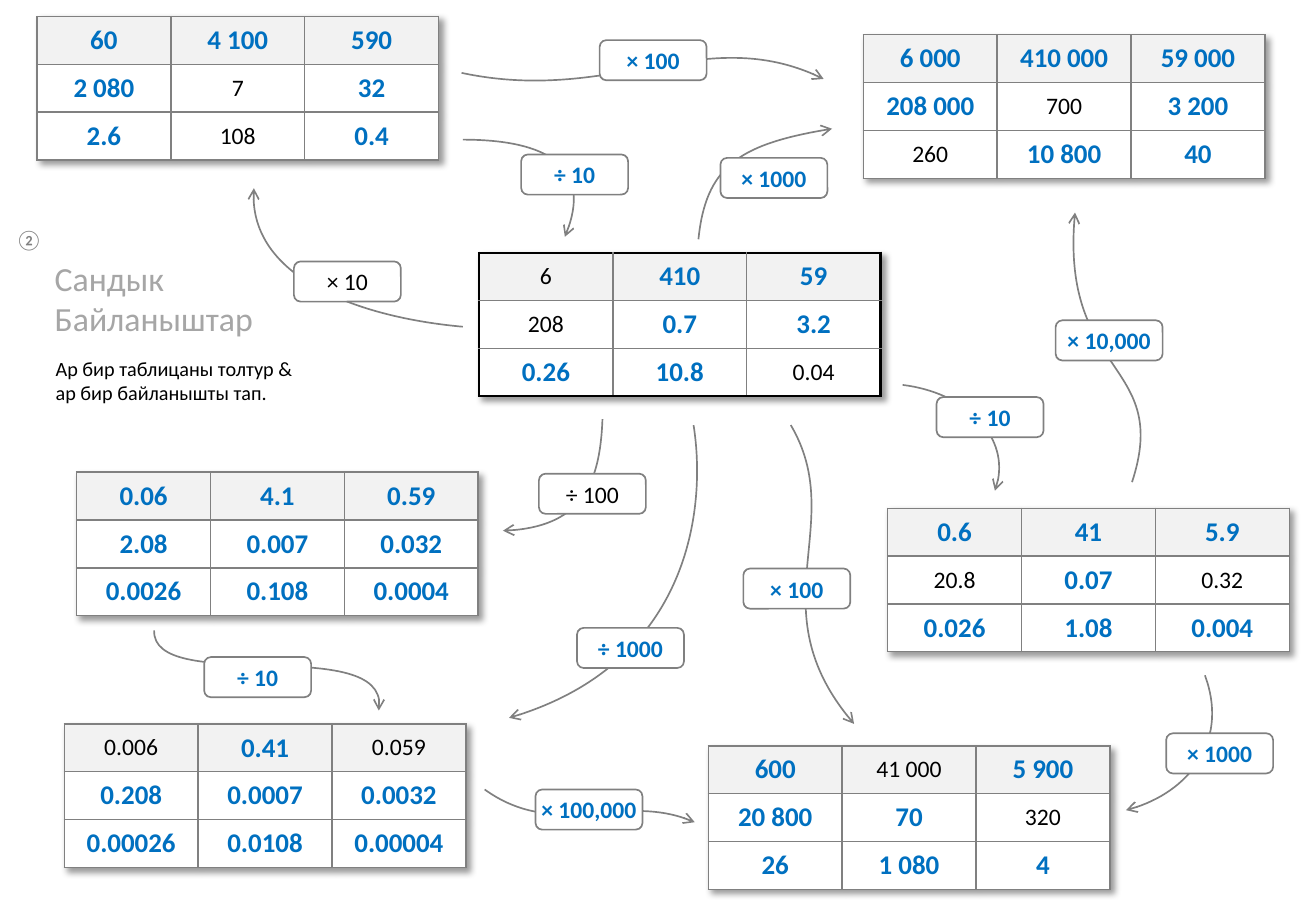
from dataclasses import dataclass

from lxml.etree import SubElement
from pptx import Presentation
from pptx.dml.color import RGBColor
from pptx.enum.shapes import MSO_SHAPE
from pptx.enum.text import MSO_ANCHOR, MSO_AUTO_SIZE, PP_ALIGN
from pptx.oxml import parse_xml
from pptx.oxml.ns import nsdecls, qn
from pptx.util import Pt

COLORS = {
    "answer": "0070C0", "given": "000000", "line": "808080", "frame": "000000",
    "header": "F2F2F2", "white": "FFFFFF", "title": "A6A6A6",
}
FONT = "Calibri"
COLUMN_WIDTH, ROW_HEIGHT = 79.37, 28.35
LABEL_WIDTH, LABEL_HEIGHT = 63.4, 23.8
CURVE_STEPS = 40

Point = tuple[float, float]


@dataclass(frozen=True)
class NumberTable:
    left: float
    top: float
    rows: tuple[str, str, str]  # cells are separated by "|"
    given: tuple[str, ...] = ()  # numbers printed in black
    framed: bool = False


@dataclass(frozen=True)
class Link:
    text: str
    label: Point
    curve: tuple[Point, Point, Point, Point]  # start, two controls, arrow tip
    given: bool = False


TABLES = [
    NumberTable(21.9, 9.8, ("60|4 100|590", "2 080|7|32", "2.6|108|0.4"), ("7", "108")),
    NumberTable(283.9, 149.8, ("6|410|59", "208|0.7|3.2", "0.26|10.8|0.04"),
                ("6", "208", "0.04"), framed=True),
    NumberTable(511.7, 20.6, ("6 000|410 000|59 000", "208 000|700|3 200", "260|10 800|40"),
                ("700", "260")),
    NumberTable(526.1, 301.3, ("0.6|41|5.9", "20.8|0.07|0.32", "0.026|1.08|0.004"),
                ("20.8", "0.32")),
    NumberTable(419.8, 442.1, ("600|41 000|5 900", "20 800|70|320", "26|1 080|4"),
                ("41 000", "320")),
    NumberTable(38.1, 429.1, ("0.006|0.41|0.059", "0.208|0.0007|0.0032",
                              "0.00026|0.0108|0.00004"), ("0.006", "0.059")),
    NumberTable(45.4, 279.9, ("0.06|4.1|0.59", "2.08|0.007|0.032", "0.0026|0.108|0.0004")),
]

LINKS = [
    Link("× 100", (355.4, 23.8), ((273.6, 43.2), (361.4, 61.9), (418.3, 12.2), (488.2, 46.8))),
    Link("× 1000", (427, 93.6), ((414, 141.8), (418.3, 99.4), (439.2, 85), (493.2, 76.3))),
    Link("× 10,000", (625.7, 189.9), ((671, 285.8), (694.1, 215.3), (627.8, 223.9), (637.2, 126))),
    Link("÷ 10", (555.1, 235.4), ((535, 228.2), (571, 232.6), (601.2, 260.6), (589.7, 290.9))),
    Link("× 10", (174.2, 155), ((274.3, 193.7), (217.4, 188.6), (146.2, 165.6), (150.5, 111.6)),
         given=True),
    Link("× 1000", (691.2, 434.7), ((714.2, 400.3), (727.9, 437), (704.9, 470.9), (667.4, 480.2))),
    Link("÷ 1000", (342, 372.2), ((411.1, 252), (419, 301.7), (408.2, 394.6), (301.7, 425.5))),
    Link("÷ 10", (121, 389.5), ((91.4, 373.7), (90, 411.1), (232.6, 374.4), (224.6, 421.2))),
    Link("÷ 100", (319.4, 280.8), ((357.1, 248.4), (355.7, 288), (342.7, 313.2), (298.1, 314.6)),
         given=True),
    Link("× 100", (440.6, 337), ((468.7, 252), (502.6, 309.6), (447.1, 360.7), (506.2, 429.1))),
    Link("× 100,000", (317.4, 468), ((287.3, 468), (328.3, 497.5), (369.4, 468.7), (411.8, 487.4))),
    Link("÷ 10", (308.9, 91.6), ((274.3, 82.8), (309.6, 82.8), (355.7, 91.4), (334.8, 140.4))),
]


def rgb(name: str) -> RGBColor:
    return RGBColor.from_string(COLORS[name])


def write_text(frame, text: str, *, size: float, color: str, bold: bool = False,
               align=PP_ALIGN.LEFT, anchor=MSO_ANCHOR.TOP) -> None:
    """Fill a text frame, one paragraph for each line of text."""
    frame.text = text
    frame.vertical_anchor = anchor
    for paragraph in frame.paragraphs:
        paragraph.alignment = align
        for run in paragraph.runs:
            run.font.name = FONT
            run.font.size = Pt(size)
            run.font.bold = bold
            run.font.color.rgb = rgb(color)


def set_borders(cell, row: int, column: int, framed: bool) -> None:
    properties = cell._tc.get_or_add_tcPr()
    outer_sides = {"L": column == 0, "R": column == 2, "T": row == 0, "B": row == 2}
    for index, (side, outer) in enumerate(outer_sides.items()):
        color, width = ("frame", 1.5) if framed and outer else ("line", 1)
        properties.insert(index, parse_xml(
            f'<a:ln{side} {nsdecls("a")} w="{Pt(width)}"><a:solidFill>'
            f'<a:srgbClr val="{COLORS[color]}"/></a:solidFill></a:ln{side}>'))


def draw_table(slide, item: NumberTable) -> None:
    graphic = slide.shapes.add_table(3, 3, Pt(item.left), Pt(item.top),
                                     Pt(3 * COLUMN_WIDTH), Pt(3 * ROW_HEIGHT))
    table = graphic.table
    table.first_row = table.horz_banding = False
    table._tbl.tblPr.insert(0, parse_xml(
        f'<a:effectLst {nsdecls("a")}><a:outerShdw blurRad="{Pt(4)}" dist="{Pt(3)}" '
        'dir="2700000" algn="tl" rotWithShape="0"><a:srgbClr val="000000">'
        '<a:alpha val="40000"/></a:srgbClr></a:outerShdw></a:effectLst>'))
    for column in table.columns:
        column.width = Pt(COLUMN_WIDTH)
    for row_index, row_text in enumerate(item.rows):
        table.rows[row_index].height = Pt(ROW_HEIGHT)
        for column_index, number in enumerate(row_text.split("|")):
            cell = table.cell(row_index, column_index)
            cell.margin_left = cell.margin_right = cell.margin_top = cell.margin_bottom = 0
            cell.vertical_anchor = MSO_ANCHOR.MIDDLE
            cell.fill.solid()
            cell.fill.fore_color.rgb = rgb("white" if row_index else "header")
            set_borders(cell, row_index, column_index, item.framed)
            given = number in item.given
            write_text(cell.text_frame, number, size=14 if given else 16, bold=not given,
                       color="given" if given else "answer", align=PP_ALIGN.CENTER,
                       anchor=MSO_ANCHOR.MIDDLE)


def curve_point(curve: tuple[Point, ...], t: float) -> Point:
    weights = ((1 - t) ** 3, 3 * t * (1 - t) ** 2, 3 * t * t * (1 - t), t ** 3)
    x, y = (sum(w * point[axis] for w, point in zip(weights, curve)) for axis in (0, 1))
    return Pt(x), Pt(y)


def draw_curve(slide, curve: tuple[Point, ...]) -> None:
    # Sampled points give the bounds; one cubic segment then replaces them
    points = [curve_point(curve, step / CURVE_STEPS) for step in range(CURVE_STEPS + 1)]
    builder = slide.shapes.build_freeform(*points[0])
    builder.add_line_segments(points[1:], close=False)
    shape = builder.convert_to_shape()
    outline = next(shape._element.iter(qn("a:path")))
    for segment in outline.findall(qn("a:lnTo")):
        outline.remove(segment)
    cubic = SubElement(outline, qn("a:cubicBezTo"))
    for x, y in curve[1:]:
        SubElement(cubic, qn("a:pt"), x=str(Pt(x) - shape.left), y=str(Pt(y) - shape.top))
    shape.shadow.inherit = False
    shape.fill.background()
    shape.line.color.rgb = rgb("line")
    shape.line.width = Pt(1)
    SubElement(shape.line._get_or_add_ln(), qn("a:tailEnd"), type="arrow")


def draw_label(slide, link: Link) -> None:
    left, top = link.label
    shape = slide.shapes.add_shape(MSO_SHAPE.ROUNDED_RECTANGLE, Pt(left), Pt(top),
                                   Pt(LABEL_WIDTH), Pt(LABEL_HEIGHT))
    shape.shadow.inherit = False
    shape.fill.solid()
    shape.fill.fore_color.rgb = rgb("white")
    shape.line.color.rgb = rgb("line")
    shape.line.width = Pt(1)
    shape.text_frame.margin_left = shape.text_frame.margin_right = 0
    write_text(shape.text_frame, link.text, size=14, bold=not link.given,
               color="given" if link.given else "answer", align=PP_ALIGN.CENTER,
               anchor=MSO_ANCHOR.MIDDLE)


def place_text(shape, left: float, top: float, width: float, height: float,
               text: str, *, size: float, color: str) -> None:
    shape.left, shape.top, shape.width, shape.height = map(Pt, (left, top, width, height))
    shape.text_frame.word_wrap = False
    shape.text_frame.auto_size = MSO_AUTO_SIZE.SHAPE_TO_FIT_TEXT
    write_text(shape.text_frame, text, size=size, color=color)


def main() -> None:
    presentation = Presentation()
    presentation.slide_width, presentation.slide_height = Pt(780), Pt(540)
    slide = presentation.slides.add_slide(presentation.slide_layouts[5])

    # Number tables
    for item in TABLES:
        draw_table(slide, item)

    # Arrows, then the operations on them
    for link in LINKS:
        draw_curve(slide, link.curve)
    for link in LINKS:
        draw_label(slide, link)

    # Title, task number and instruction
    place_text(slide.shapes.title, 25.2, 149, 133.2, 55.4, "Сандык\nБайланыштар",
               size=20, color="title")
    for box, text, color in (
        ((2.2, 131, 31, 21.6), "②", "line"),
        ((25.9, 207.4, 161.3, 36), "Ар бир таблицаны толтур &\nар бир байланышты тап.", "given"),
    ):
        place_text(slide.shapes.add_textbox(0, 0, 0, 0), *box, text, size=12, color=color)

    presentation.save("out.pptx")


if __name__ == "__main__":
    main()
